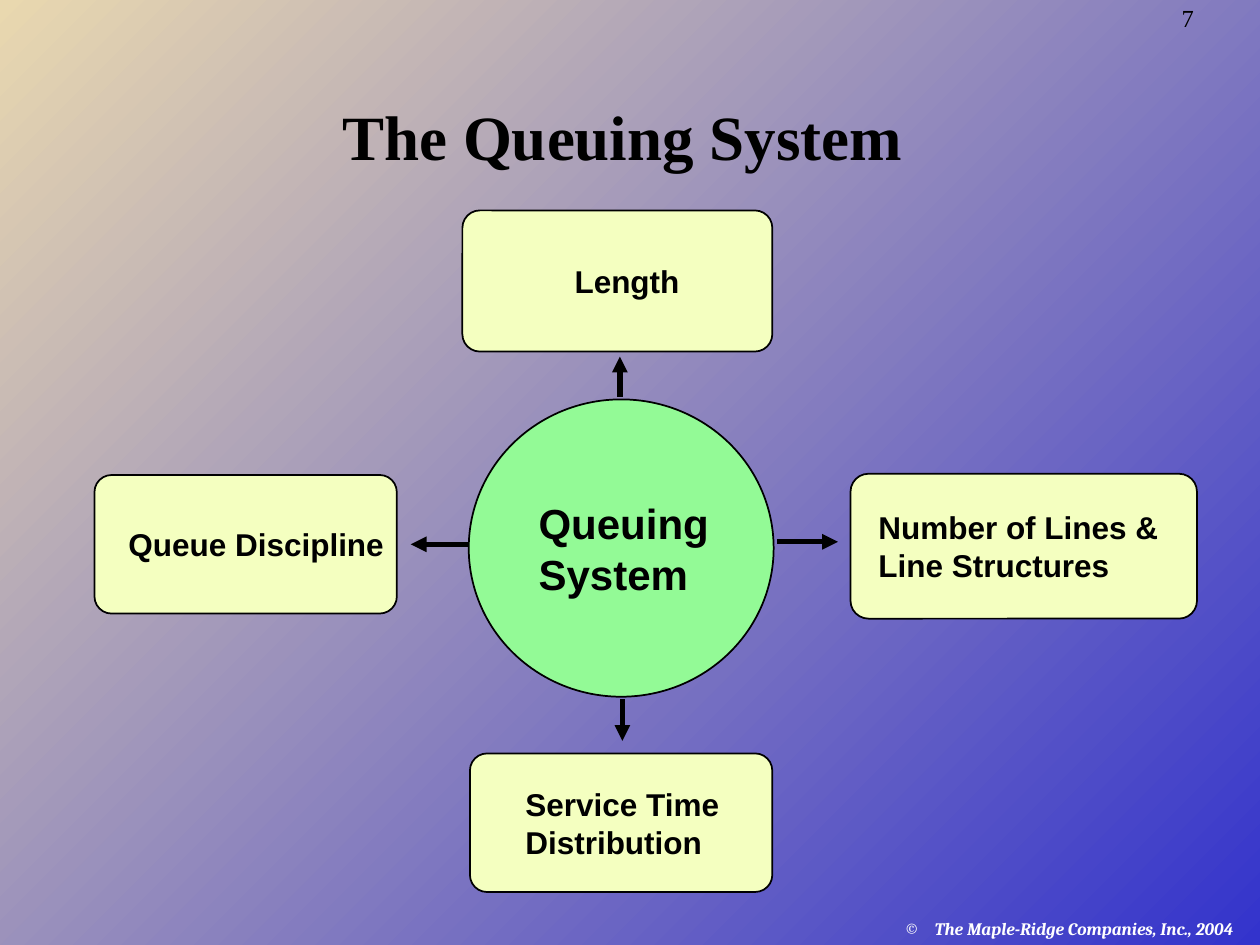
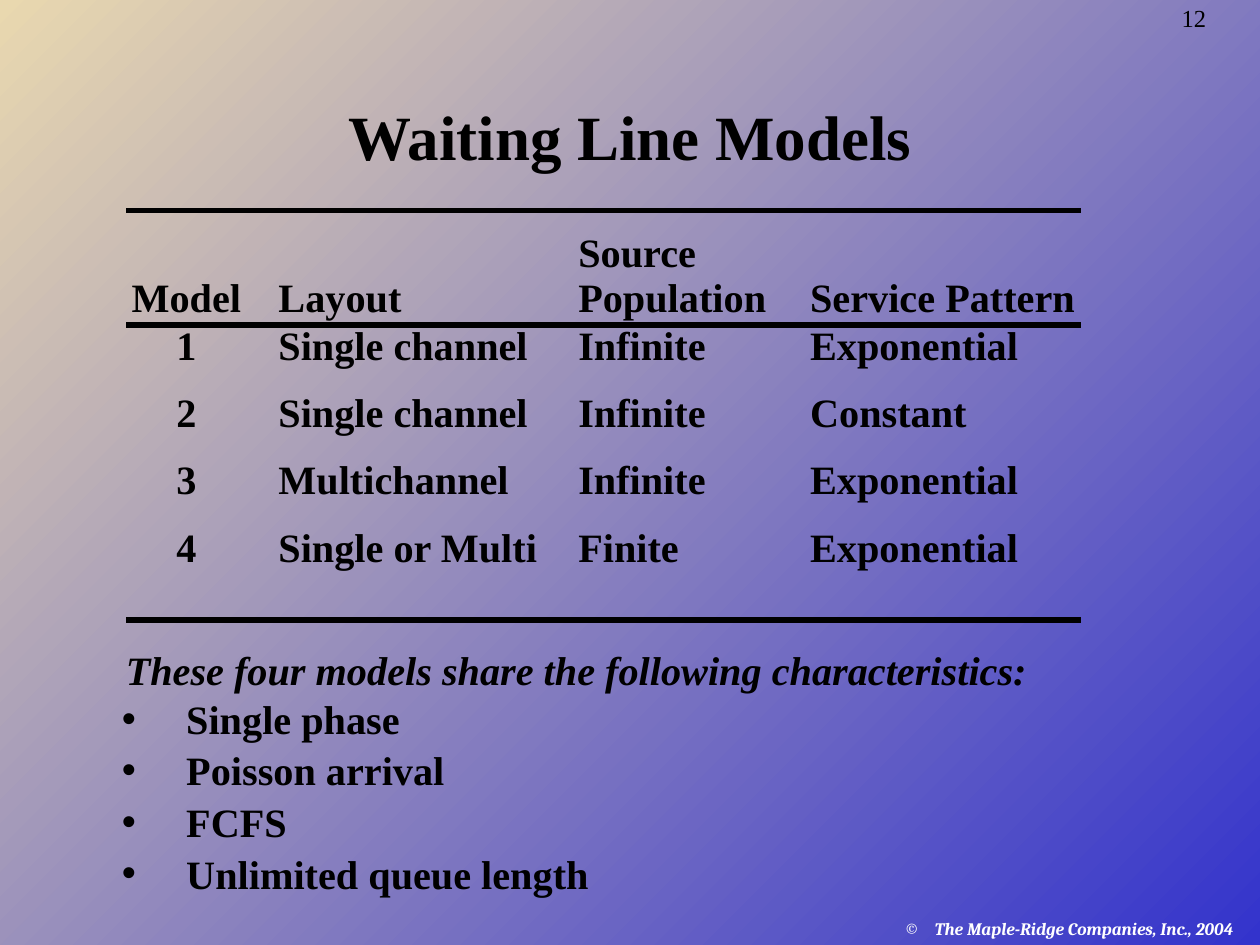
"""Build two slides on queuing: the system diagram and the table of waiting line models."""
from lxml import etree
from pptx import Presentation
from pptx.dml.color import RGBColor
from pptx.enum.shapes import MSO_CONNECTOR, MSO_SHAPE
from pptx.enum.text import MSO_ANCHOR, PP_ALIGN
from pptx.oxml.ns import qn
from pptx.util import Inches, Pt

STRAIGHT = MSO_CONNECTOR.STRAIGHT
ELLIPSE, ROUNDED = MSO_SHAPE.OVAL, MSO_SHAPE.ROUNDED_RECTANGLE
TOP, MIDDLE, BOTTOM = MSO_ANCHOR.TOP, MSO_ANCHOR.MIDDLE, MSO_ANCHOR.BOTTOM
LEFT, CENTER = PP_ALIGN.LEFT, PP_ALIGN.CENTER

COLORS = {"blue": "3333CC", "sand": "E9D8AF", "ink": "000000", "white": "FFFFFF",
          "green": "93FA96", "cream": "F4FFC0"}
SERIF, SANS, FOOTER_FONT = "Times New Roman", "Arial", "Cambria"
FOOTER = "The Maple-Ridge Companies, Inc., 2004"
NO_GRID_STYLE = "{2D5ABB26-0587-4C30-8999-92F81FD0307C}"

# kind, lines, (left, top, width, height), text inset, fill, font size
DIAGRAM = [
    (ELLIPSE, ["Queuing", "System"], (3.72, 3.17, 2.42, 2.36), 0.2, "green", 24),
    (ROUNDED, ["Queue Discipline"], (0.75, 3.77, 2.4, 1.1), 0.23, "cream", 18),
    (ROUNDED, ["Length"], (3.67, 1.67, 2.46, 1.12), 0.85, "cream", 18),
    (ROUNDED, ["Number of Lines &", "Line Structures"], (6.75, 3.76, 2.75, 1.15),
     0.18, "cream", 18),
    (ROUNDED, ["Service Time", "Distribution"], (3.73, 5.98, 2.4, 1.1), 0.4, "cream", 18),
]
ARROWS = [(3.72, 4.32, 3.26, 4.32), (4.92, 3.15, 4.92, 2.83),
          (6.17, 4.3, 6.65, 4.3), (4.94, 5.55, 4.94, 5.88)]

MODELS = [
    ("Model", "Layout", "Source\nPopulation", "Service Pattern"),
    ("1", "Single channel", "Infinite", "Exponential"),
    ("2", "Single channel", "Infinite", "Constant"),
    ("3", "Multichannel", "Infinite", "Exponential"),
    ("4", "Single or Multi", "Finite", "Exponential"),
]
COLUMN_EDGES = [1, 2.11, 4.49, 6.33, 8.58]
ROW_EDGES = [1.67, 2.58, 3.11, 3.64, 4.18, 4.92]
RULES = [ROW_EDGES[0], ROW_EDGES[1], ROW_EDGES[-1]]
SHARED_HEADING = "These four models share the following characteristics:"
SHARED = ["Single phase", "Poisson arrival", "FCFS", "Unlimited queue length"]


def color(name):
    return RGBColor.from_string(COLORS[name])


def write(frame, lines, size, font=SERIF, bold=True, italic=False, ink="ink", align=LEFT):
    frame.text = "\n".join(lines)
    for paragraph in frame.paragraphs:
        paragraph.alignment = align
        paragraph.font.name, paragraph.font.size = font, Pt(size)
        paragraph.font.bold, paragraph.font.italic = bold, italic
        paragraph.font.color.rgb = color(ink)
    return frame.paragraphs


def add_text(slide, box, lines, size, anchor=TOP, **style):
    frame = slide.shapes.add_textbox(*map(Inches, box)).text_frame
    frame.word_wrap = True
    frame.vertical_anchor = anchor
    return write(frame, lines, size, **style)


def set_bullet(paragraph, character, indent, font):
    properties = paragraph._p.get_or_add_pPr()
    properties.set("marL", str(Inches(indent)))
    properties.set("indent", str(-Inches(indent)))
    etree.SubElement(properties, qn("a:buFont"), typeface=font)
    etree.SubElement(properties, qn("a:buChar"), char=character)


def add_line(slide, ends, arrow=False):
    connector = slide.shapes.add_connector(STRAIGHT, *map(Inches, ends))
    connector.line.color.rgb = color("ink")
    connector.line.width = Pt(3)
    if arrow:
        etree.SubElement(connector.line._get_or_add_ln(), qn("a:tailEnd"), type="triangle")
    etree.SubElement(connector._element.spPr, qn("a:effectLst"))


def set_background(presentation):
    fill = presentation.slide_master.background.fill
    fill.gradient()
    fill.gradient_angle = 135
    for stop, name in zip(fill.gradient_stops, ("blue", "sand")):
        stop.color.rgb = color(name)


def add_slide(presentation, title, number, title_left):
    slide = presentation.slides.add_slide(presentation.slide_layouts[6])
    footer = add_text(slide, (7.08, 7.24, 2.92, 0.26), [FOOTER], 10, font=FOOTER_FONT,
                      italic=True, ink="white")
    set_bullet(footer[0], "©", 0.24, FOOTER_FONT)
    page = add_text(slide, (9.28, 0, 0.72, 0.31), [number], 14, bold=False)
    page[0].line_spacing = 0.9
    add_text(slide, (title_left, 0.67, 8.5, 0.75), [title], 36, anchor=BOTTOM, align=CENTER)
    return slide


def add_node(slide, kind, lines, box, inset, fill, size):
    shape = slide.shapes.add_shape(kind, *map(Inches, box))
    shape.shadow.inherit = False
    shape.fill.solid()
    shape.fill.fore_color.rgb = color(fill)
    shape.line.color.rgb = color("ink")
    shape.line.width = Pt(1)
    if kind == ROUNDED:
        shape.adjustments[0] = 0.124
    frame = shape.text_frame
    frame.word_wrap = True
    frame.vertical_anchor = MIDDLE
    frame.margin_left, frame.margin_right = Inches(inset), 0
    write(frame, lines, size, font=SANS)


def add_models_table(slide):
    left, top = COLUMN_EDGES[0], ROW_EDGES[0]
    box = (left, top, COLUMN_EDGES[-1] - left, ROW_EDGES[-1] - top)
    frame = slide.shapes.add_table(len(MODELS), len(MODELS[0]), *map(Inches, box))
    table = frame.table
    table.first_row = table.horz_banding = False
    next(frame._element.iter(qn("a:tableStyleId"))).text = NO_GRID_STYLE
    for column, start, end in zip(table.columns, COLUMN_EDGES, COLUMN_EDGES[1:]):
        column.width = Inches(end - start)
    for row, start, end in zip(table.rows, ROW_EDGES, ROW_EDGES[1:]):
        row.height = Inches(end - start)
    for row_index, values in enumerate(MODELS):
        for column_index, value in enumerate(values):
            cell = table.cell(row_index, column_index)
            is_number = column_index == 0
            cell.fill.background()
            cell.margin_left = Inches(0 if is_number else 0.1)
            cell.margin_right = Inches(0.15 if is_number else 0)
            cell.margin_top, cell.margin_bottom = 0, Inches(0.03)
            cell.vertical_anchor = TOP if row_index else BOTTOM
            write(cell.text_frame, value.split("\n"), 23, align=CENTER if is_number else LEFT)


def build_system_slide(presentation):
    slide = add_slide(presentation, "The Queuing System", "7", 0.69)
    for node in DIAGRAM:
        add_node(slide, *node)
    for ends in ARROWS:
        add_line(slide, ends, arrow=True)


def build_models_slide(presentation):
    slide = add_slide(presentation, "Waiting Line Models", "12", 0.75)
    add_models_table(slide)
    for y in RULES:
        add_line(slide, (COLUMN_EDGES[0], y, COLUMN_EDGES[-1], y))
    add_text(slide, (0.9, 5.07, 7.6, 0.48), [SHARED_HEADING], 23, italic=True)
    for paragraph in add_text(slide, (0.87, 5.46, 5, 1.66), SHARED, 23):
        paragraph.space_after = Pt(1.9)
        set_bullet(paragraph, "•", 0.51, SANS)


def main():
    presentation = Presentation()
    presentation.slide_width, presentation.slide_height = Inches(10), Inches(7.5)
    set_background(presentation)
    build_system_slide(presentation)
    build_models_slide(presentation)
    presentation.save("out.pptx")


if __name__ == "__main__":
    main()
